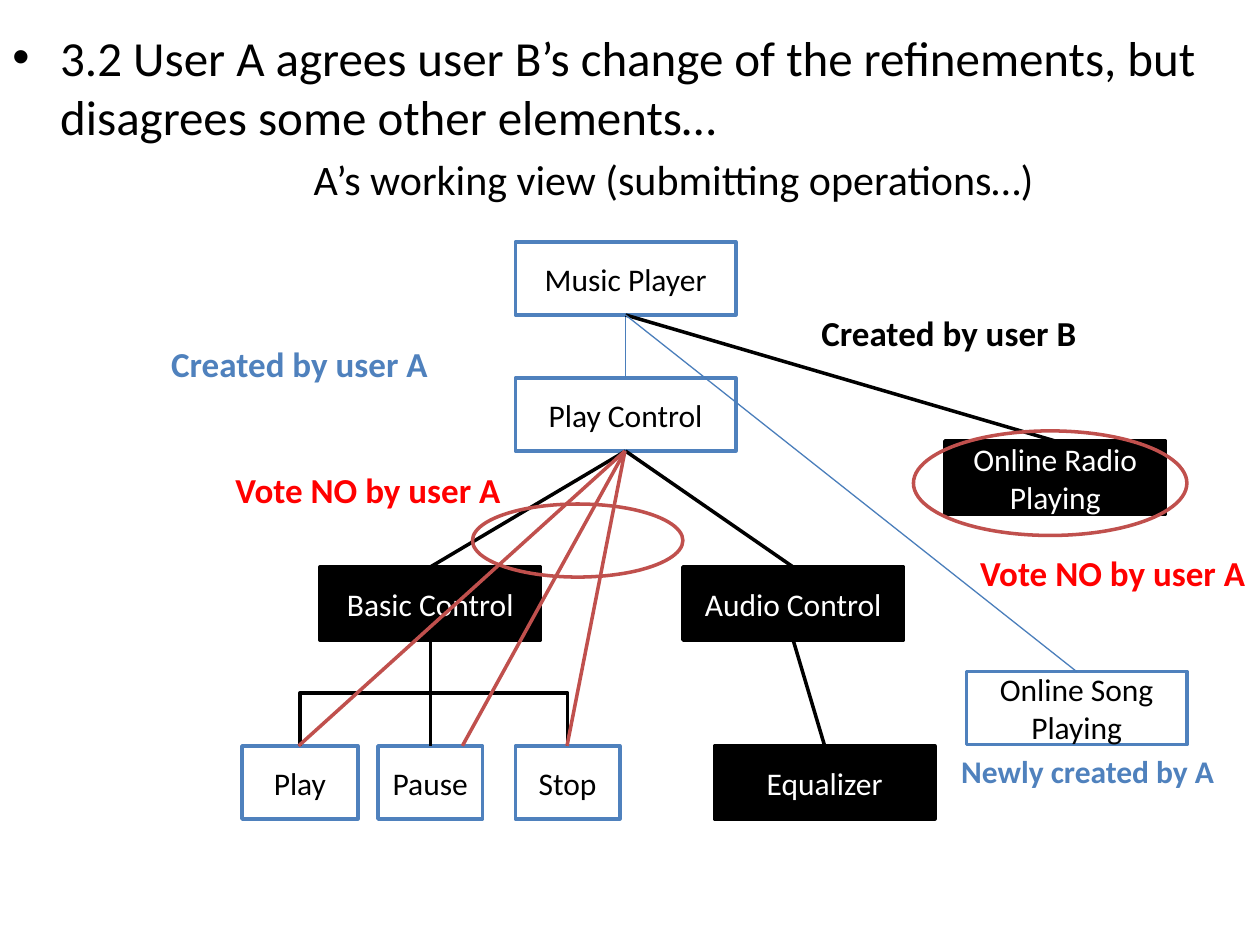
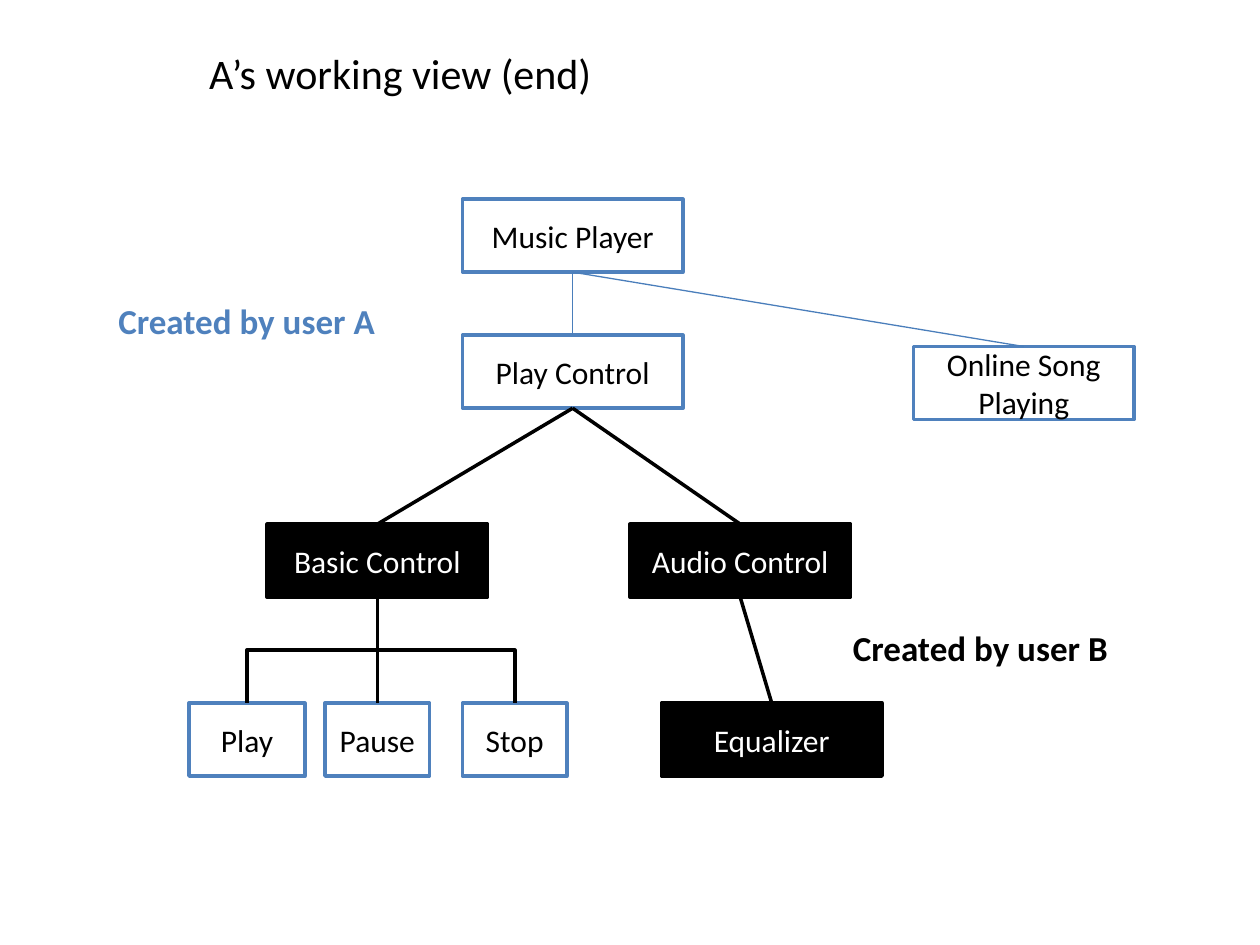
import lxml.etree
import pptx
import pptx.dml.color
import pptx.enum.shapes
import pptx.enum.text
import pptx.oxml.ns
import pptx.util

Inches = pptx.util.Inches
Pt = pptx.util.Pt
RGBColor = pptx.dml.color.RGBColor
SHAPES = pptx.enum.shapes.MSO_SHAPE
CONNECTORS = pptx.enum.shapes.MSO_CONNECTOR
qn = pptx.oxml.ns.qn

BLACK = RGBColor(0, 0, 0)
WHITE = RGBColor(255, 255, 255)
USER_A_BLUE = RGBColor(0x4F, 0x81, 0xBD)
LINK_BLUE = RGBColor(0x4A, 0x7E, 0xBB)
VOTE_RED = RGBColor(0xC0, 0x50, 0x4D)
LABEL_RED = RGBColor(255, 0, 0)

FONT = "Calibri"
BOX_WIDTH, BOX_HEIGHT = 1.75, 0.58
TOP_SITE, BOTTOM_SITE = 0, 2
USER_A = {"fill": WHITE, "line": USER_A_BLUE, "text": BLACK}
USER_B = {"fill": BLACK, "line": BLACK, "text": WHITE}

FEATURES = {
    "Music Player": (2.17, 0, BOX_WIDTH, USER_A),
    "Play Control": (2.17, 1.08, BOX_WIDTH, USER_A),
    "Basic Control": (0.62, 2.58, BOX_WIDTH, USER_B),
    "Audio Control": (3.5, 2.58, BOX_WIDTH, USER_B),
    "Play": (0, 4, 0.92, USER_A),
    "Pause": (1.08, 4, 0.83, USER_A),
    "Stop": (2.17, 4, 0.83, USER_A),
    "Equalizer": (3.75, 4, BOX_WIDTH, USER_B),
}
REFINEMENTS = [
    ("Music Player", "Play Control", LINK_BLUE, 0.75),
    ("Play Control", "Basic Control", BLACK, 2),
    ("Play Control", "Audio Control", BLACK, 2),
    ("Audio Control", "Equalizer", BLACK, 2),
]


def write_text(shape, text, **formats):
    """Fill the first paragraph of a shape and return it."""
    paragraph = shape.text_frame.paragraphs[0]
    paragraph.text = text
    color = formats.pop("color", BLACK)
    for name, value in {"name": FONT, **formats}.items():
        setattr(paragraph.runs[0].font, name, value)
    paragraph.runs[0].font.color.rgb = color
    return paragraph


def add_label(slide, left, top, width, text, color, size=20):
    """Add a bold one-line label."""
    label = slide.shapes.add_textbox(Inches(left), Inches(top), Inches(width), Inches(size * 0.022))
    label.text_frame.word_wrap = False
    label.text_frame.auto_size = pptx.enum.text.MSO_AUTO_SIZE.SHAPE_TO_FIT_TEXT
    write_text(label, text, size=Pt(size), bold=True, color=color)


def add_view_title(slide, left, top, text):
    """Add the title that names the working view."""
    title = slide.shapes.add_textbox(Inches(left), Inches(top), Inches(6.5), Inches(0.5))
    title.text_frame.word_wrap = True
    title.text_frame.margin_left = Inches(0.16)
    write_text(title, text, size=Pt(24))


def add_step(slide, left, top, text):
    """Add the bulleted description of the step."""
    step = slide.shapes.add_textbox(Inches(left), Inches(top), Inches(10.17), Inches(1))
    step.text_frame.word_wrap = True
    paragraph = step.text_frame.paragraphs[0]
    properties = paragraph._p.get_or_add_pPr()
    properties.set("marL", str(Inches(0.38)))
    properties.set("indent", str(Inches(-0.38)))
    lxml.etree.SubElement(properties, qn("a:buFont"), typeface="Arial")
    lxml.etree.SubElement(properties, qn("a:buChar"), char="•")
    write_text(step, text, size=Pt(28))


def add_feature(slide, left, top, width, text, style):
    """Add one feature box in the style of its creator."""
    feature = slide.shapes.add_shape(
        SHAPES.RECTANGLE, Inches(left), Inches(top), Inches(width), Inches(BOX_HEIGHT))
    feature.shadow.inherit = False
    feature.fill.solid()
    feature.fill.fore_color.rgb = style["fill"]
    feature.line.color.rgb = style["line"]
    feature.line.width = Pt(2)
    feature.text_frame.word_wrap = True
    feature.text_frame.vertical_anchor = pptx.enum.text.MSO_ANCHOR.MIDDLE
    paragraph = write_text(feature, text, size=Pt(18), color=style["text"])
    paragraph.alignment = pptx.enum.text.PP_ALIGN.CENTER
    return feature


def add_line(slide, kind, begin, end, color, width):
    """Add a connector between two points given in EMU."""
    line = slide.shapes.add_connector(kind, *map(int, begin), *map(int, end))
    line.line.color.rgb = color
    line.line.width = Pt(width)
    lxml.etree.SubElement(line._element.spPr, qn("a:effectLst"))
    return line


def link(slide, parent, child, color=BLACK, width=2):
    """Join the bottom of a parent to the top of a child."""
    line = add_line(slide, CONNECTORS.STRAIGHT, (0, 0), (0, 0), color, width)
    line.begin_connect(parent, BOTTOM_SITE)
    line.end_connect(child, TOP_SITE)


def link_elbow(slide, parent, child):
    """Join a parent to a child with a line that bends halfway down."""
    begin_x, begin_y = parent.left + parent.width / 2, parent.top + parent.height
    end_x, end_y = child.left + child.width / 2, child.top
    drop, spread = end_y - begin_y, abs(end_x - begin_x)
    left = (begin_x + end_x - drop) / 2
    top = (begin_y + end_y - spread) / 2
    near, far, degrees = (left, left + drop, 90)
    if end_x > begin_x:
        near, far, degrees = far, near, 270
    line = add_line(slide, CONNECTORS.ELBOW, (near, top), (far, top + spread), BLACK, 2)
    line._element.spPr.xfrm.set("rot", str(degrees * 60000))


def add_feature_tree(slide, left, top):
    """Draw the shared feature tree and return its boxes by name."""
    boxes = {
        name: add_feature(slide, left + x, top + y, width, name, style)
        for name, (x, y, width, style) in FEATURES.items()
    }
    for parent, child, color, width in REFINEMENTS:
        link(slide, boxes[parent], boxes[child], color, width)
    for name in ("Play", "Pause", "Stop"):
        link_elbow(slide, boxes["Basic Control"], boxes[name])
    add_label(slide, left - 0.66, top + 0.75, 2.25, "Created by user A", USER_A_BLUE)
    return boxes


def add_song_feature(slide, left, top, parent):
    """Add the online song feature below its parent."""
    song = add_feature(slide, left, top, BOX_WIDTH, "Online Song Playing", USER_A)
    link(slide, parent, song, LINK_BLUE, 0.75)


def add_votes(slide, left, top):
    """Draw the rejected refinements, the vote rings and their labels."""
    control_bottom = Inches(left + 3.04), Inches(top + 1.66)
    for x in (0.45, 1.75, 2.58):
        begin = Inches(left + x), Inches(top + 4)
        add_line(slide, CONNECTORS.STRAIGHT, begin, control_bottom, VOTE_RED, 2)
    for x, y, width, height in ((1.83, 2.08, 1.67, 0.58), (5.33, 1.5, 2.17, 0.83)):
        ring = slide.shapes.add_shape(
            SHAPES.OVAL, Inches(left + x), Inches(top + y), Inches(width), Inches(height))
        ring.shadow.inherit = False
        ring.fill.background()
        ring.line.color.rgb = VOTE_RED
        ring.line.width = Pt(2)
    for x, y in ((-0.15, 1.75), (5.76, 2.41)):
        add_label(slide, left + x, top + y, 2.32, "Vote NO by user A", LABEL_RED)


def build_submitting_slide(slide):
    """Build the view in which user A submits operations."""
    left, top = 1.92, 1.92
    add_step(slide, 0, 0.17, "3.2 User A agrees user B’s change of the refinements, "
             "but disagrees some other elements…")
    add_view_title(slide, 2.33, 1.17, "A’s working view (submitting operations…)")
    boxes = add_feature_tree(slide, left, top)
    radio = add_feature(slide, 7.5, 3.5, BOX_WIDTH, "Online Radio Playing", USER_B)
    link(slide, boxes["Music Player"], radio)
    add_label(slide, 6.42, 2.42, 2.23, "Created by user B", BLACK)
    add_votes(slide, left, top)
    add_song_feature(slide, 7.67, 5.33, boxes["Music Player"])
    add_label(slide, 7.53, 5.92, 2.22, "Newly created by A", USER_A_BLUE, 18)


def build_end_slide(slide):
    """Build the view that user A ends with."""
    add_view_title(slide, 1.5, 0.33, "A’s working view (end)")
    boxes = add_feature_tree(slide, 1.5, 1.58)
    add_label(slide, 6.67, 4.92, 2.23, "Created by user B", BLACK)
    add_song_feature(slide, 7.25, 2.75, boxes["Music Player"])


def main():
    """Build and save the presentation."""
    presentation = pptx.Presentation()
    presentation.slide_width = Inches(10)
    presentation.slide_height = Inches(7.5)
    for build in (build_submitting_slide, build_end_slide):
        build(presentation.slides.add_slide(presentation.slide_layouts[6]))
    presentation.save("out.pptx")


if __name__ == "__main__":
    main()
